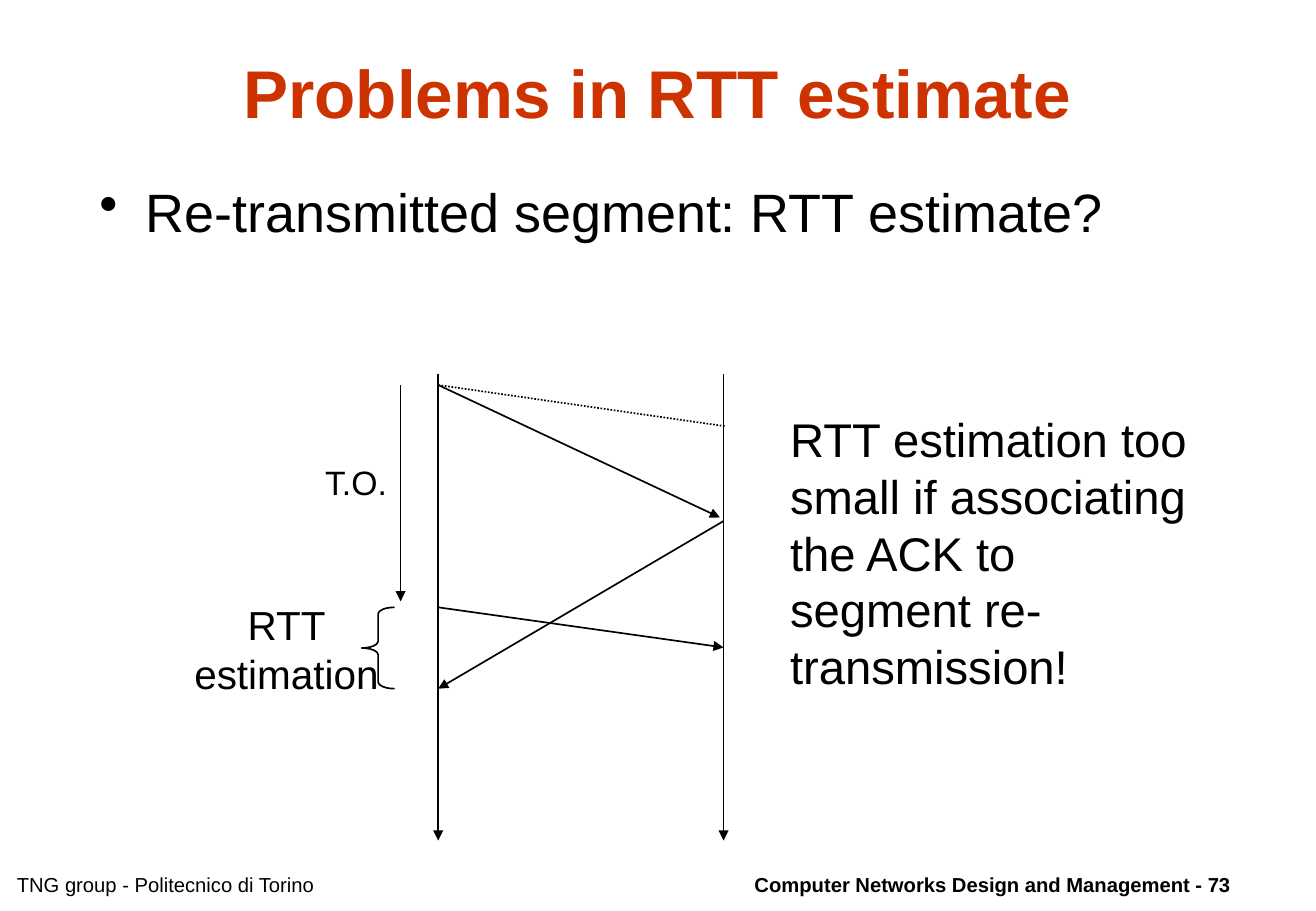
import pptx
import pptx.util
import pptx.dml.color
import pptx.enum.dml
import pptx.enum.shapes
import pptx.enum.text
import lxml.etree
from pptx.oxml.ns import qn

Inches = pptx.util.Inches
Pt = pptx.util.Pt
ALIGN = pptx.enum.text.PP_ALIGN
ANCHOR = pptx.enum.text.MSO_ANCHOR

COLORS = {"ink": "000000", "title": "CC3300", "paper": "FFFFFF"}
FONT = "Arial"

# Time axes of the two hosts, and the moments on them
SENDER, RECEIVER, TIMEOUT = 3.61, 5.96, 3.3
START, END = 3.08, 6.92
FIRST_SENT, RESENT, ACK_RECEIVED = 3.17, 5.0, 5.67

# from, to, dotted (dotted lines have no arrowhead)
LINES = [
    ((SENDER, FIRST_SENT), (5.98, 3.51), True),
    ((SENDER, RESENT), (RECEIVER, 5.33), False),
    ((RECEIVER, 4.29), (SENDER, ACK_RECEIVED), False),
    ((SENDER, START), (SENDER, END), False),
    ((RECEIVER, START), (RECEIVER, END), False),
    ((SENDER, FIRST_SENT), (5.93, 4.26), False),
    ((TIMEOUT, FIRST_SENT), (TIMEOUT, 4.95), False),
]

BRACE_LEFT, BRACE_WIDTH, BRACE_CURVE = 2.98, 0.27, 0.21

# text, (left, top, width, height), size, formatting
TEXTS = [
    ("Computer Networks Design and Management - 73", (5.77, 7.13, 4.47, 0.3), 12,
     {"bold": True, "align": ALIGN.RIGHT}),
    ("TNG group - Politecnico di Torino", (0.04, 7.13, 4.47, 0.3), 12, {}),
    ("Problems in RTT estimate", (0.81, 0.25, 9.21, 1), 40,
     {"bold": True, "align": ALIGN.CENTER, "anchor": ANCHOR.MIDDLE, "color": "title"}),
    ("Re-transmitted segment: RTT estimate?", (0.72, 1.42, 9.48, 0.96), 32,
     {"before": 8, "bullet": "•"}),
    ("RTT\nestimation", (1.5, 4.89, 1.72, 0.9), 24,
     {"align": ALIGN.CENTER, "anchor": ANCHOR.MIDDLE, "wrap": False}),
    ("RTT estimation too small if associating the ACK to segment re-transmission!",
     (6.41, 3.33, 3.61, 2.43), 28, {"before": 17.5}),
    ("T.O.", (2.58, 3.75, 0.74, 0.43), 20, {"wrap": False}),
]


def rgb(name):
    return pptx.dml.color.RGBColor.from_string(COLORS[name])


def add_bullet(paragraph, mark):
    properties = paragraph._p.get_or_add_pPr()
    properties.set("marL", str(Inches(0.38)))
    properties.set("indent", str(-Inches(0.38)))
    lxml.etree.SubElement(properties, qn("a:buChar")).set("char", mark)


def add_text(slide, text, box, size, bold=False, align=ALIGN.LEFT, anchor=ANCHOR.TOP,
             color="ink", before=0, bullet=None, wrap=True):
    frame = slide.shapes.add_textbox(*map(Inches, box)).text_frame
    frame.word_wrap = wrap
    frame.vertical_anchor = anchor
    frame.text = text
    for paragraph in frame.paragraphs:
        paragraph.alignment = align
        paragraph.space_before = Pt(before)
        if bullet:
            add_bullet(paragraph, bullet)
        for run in paragraph.runs:
            run.font.name = FONT
            run.font.size = Pt(size)
            run.font.bold = bold
            run.font.color.rgb = rgb(color)


def add_line(slide, start, end, dotted):
    connector = slide.shapes.add_connector(
        pptx.enum.shapes.MSO_CONNECTOR.STRAIGHT, *map(Inches, start + end))
    line = connector.line
    line.color.rgb = rgb("ink")
    line.width = Pt(1)
    if dotted:
        line.dash_style = pptx.enum.dml.MSO_LINE.ROUND_DOT
    else:
        lxml.etree.SubElement(line._get_or_add_ln(), qn("a:tailEnd")).set("type", "triangle")
    lxml.etree.SubElement(connector._element.spPr, qn("a:effectLst"))


def add_rtt_brace(slide):
    brace = slide.shapes.add_shape(
        pptx.enum.shapes.MSO_SHAPE.LEFT_BRACE, Inches(BRACE_LEFT), Inches(RESENT),
        Inches(BRACE_WIDTH), Inches(ACK_RECEIVED - RESENT))
    brace.adjustments[0] = BRACE_CURVE
    brace.shadow.inherit = False
    brace.fill.background()
    brace.line.color.rgb = rgb("ink")
    brace.line.width = Pt(1)


def main():
    deck = pptx.Presentation()
    deck.slide_width, deck.slide_height = Inches(10.84), Inches(7.5)
    slide = deck.slides.add_slide(deck.slide_layouts[6])
    slide.background.fill.solid()
    slide.background.fill.fore_color.rgb = rgb("paper")
    for start, end, dotted in LINES:
        add_line(slide, start, end, dotted)
    add_rtt_brace(slide)
    for text, box, size, formatting in TEXTS:
        add_text(slide, text, box, size, **formatting)
    deck.save("out.pptx")


if __name__ == "__main__":
    main()
